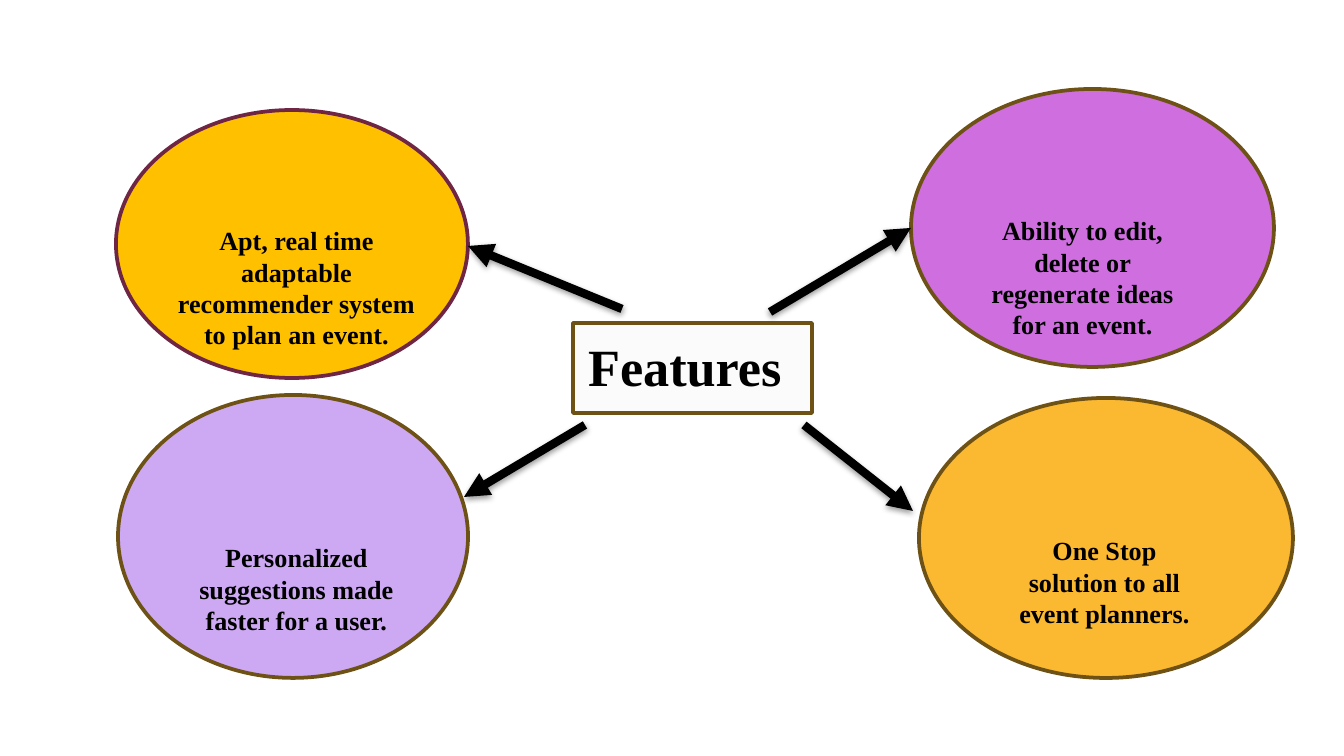
from lxml import etree
from pptx import Presentation
from pptx import util as u
from pptx.dml.color import RGBColor
from pptx.enum import shapes, text
from pptx.oxml import ns

PX = 914400 / 134.4
FONT = "Times New Roman"
BLACK = RGBColor(0x00, 0x00, 0x00)
BROWN = RGBColor(0x6E, 0x51, 0x15)
PLUM = RGBColor(0x6E, 0x26, 0x44)
AMBER = RGBColor(0xFB, 0xB8, 0x31)
ORCHID = RGBColor(0xCE, 0x6E, 0xDF)
LILAC = RGBColor(0xCD, 0xA8, 0xF3)
GOLD = RGBColor(0xFF, 0xC0, 0x00)
OFF_WHITE = RGBColor(0xFB, 0xFB, 0xFB)

FEATURES = [
    ((919, 398, 374, 280), AMBER, BROWN, (995, 528, 219, 109),
     "One Stop solution to all event planners."),
    ((911, 89, 363, 278), ORCHID, BROWN, (962, 208, 241, 140),
     "Ability to edit, delete or regenerate ideas for an event."),
    ((118, 395, 350, 283), LILAC, BROWN, (183, 535, 227, 109),
     "Personalized suggestions made faster for a user."),
    ((116, 110, 352, 268), GOLD, PLUM, (156, 218, 281, 140),
     "Apt, real time adaptable recommender system to plan an event."),
]
ARROWS = [
    (622, 309, 468, 246),
    (804, 425, 913, 511),
    (585, 425, 464, 497),
    (770, 312, 911, 228),
]


def emu(lengths):
    return [u.Emu(round(n * PX)) for n in lengths]


def add_outlined(s, kind, box, fill, line):
    sp = s.shapes.add_shape(kind, *emu(box))
    sp.shadow.inherit = False
    sp.fill.solid()
    sp.fill.fore_color.rgb = fill
    sp.line.color.rgb = line
    sp.line.width = u.Pt(2)


def add_label(s, box, words, size, after, align, wrap=True):
    tf = s.shapes.add_textbox(*emu(box)).text_frame
    tf.word_wrap = wrap
    tf.auto_size = text.MSO_AUTO_SIZE.SHAPE_TO_FIT_TEXT
    p = tf.paragraphs[0]
    p.alignment = align
    p.space_after = u.Pt(after)
    r = p.add_run()
    r.text = words
    formats = {"name": FONT, "size": u.Pt(size), "bold": True}
    for name, value in formats.items():
        setattr(r.font, name, value)
    r.font.color.rgb = BLACK


def add_arrow(s, ends):
    line = s.shapes.add_connector(shapes.MSO_CONNECTOR.STRAIGHT, *emu(ends))
    line.line.color.rgb = BLACK
    line.line.width = u.Pt(4.5)
    sp_pr = line._element.spPr
    etree.SubElement(sp_pr.find(ns.qn("a:ln")), ns.qn("a:tailEnd"), type="triangle")
    effects = etree.SubElement(sp_pr, ns.qn("a:effectLst"))
    shadow = etree.SubElement(effects, ns.qn("a:outerShdw"), blurRad="40000",
                              dist="20000", dir="5400000", rotWithShape="0")
    color = etree.SubElement(shadow, ns.qn("a:srgbClr"), val=str(BLACK))
    etree.SubElement(color, ns.qn("a:alpha"), val="38000")


def main():
    prs = Presentation()
    prs.slide_width, prs.slide_height = emu((1344, 756))
    s = prs.slides.add_slide(prs.slide_layouts[6])
    for oval, fill, line, box, words in FEATURES:
        add_outlined(s, shapes.MSO_SHAPE.OVAL, oval, fill, line)
        add_label(s, box, words, 14, 4.6, text.PP_ALIGN.CENTER)
    add_outlined(s, shapes.MSO_SHAPE.RECTANGLE, (573, 323, 239, 90), OFF_WHITE, BROWN)
    add_label(s, (575, 328, 223, 77), "Features", 28, 4.5, text.PP_ALIGN.LEFT, wrap=False)
    for ends in ARROWS:
        add_arrow(s, ends)
    prs.save("out.pptx")


if __name__ == "__main__":
    main()
